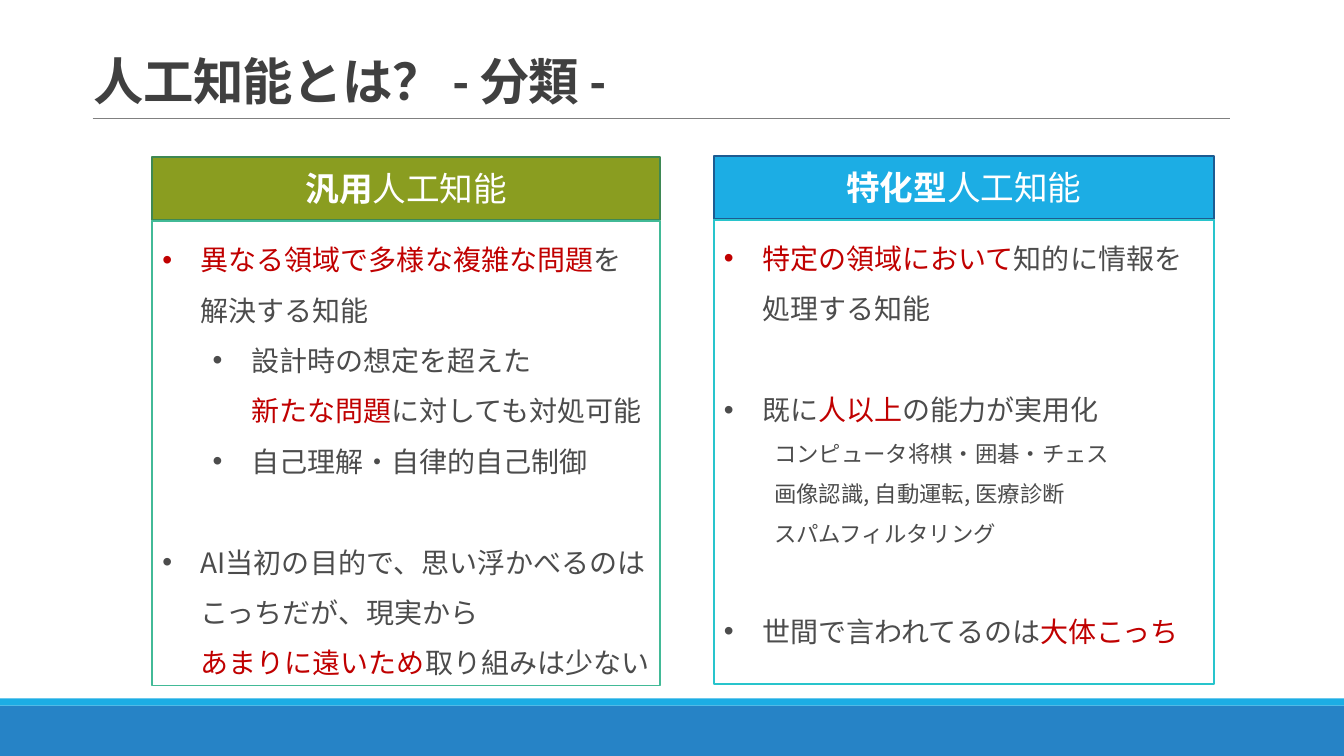
from copy import deepcopy
from dataclasses import dataclass

from lxml import etree
from pptx import Presentation
from pptx.dml.color import RGBColor
from pptx.enum.shapes import MSO_CONNECTOR, MSO_SHAPE
from pptx.enum.text import MSO_ANCHOR, MSO_AUTO_SIZE, PP_ALIGN
from pptx.oxml.ns import qn
from pptx.util import Inches, Pt

STRAIGHT = MSO_CONNECTOR.STRAIGHT
RECTANGLE = MSO_SHAPE.RECTANGLE
TOP, MIDDLE, BOTTOM = MSO_ANCHOR.TOP, MSO_ANCHOR.MIDDLE, MSO_ANCHOR.BOTTOM
NO_AUTOFIT = MSO_AUTO_SIZE.NONE
LEFT, CENTER = PP_ALIGN.LEFT, PP_ALIGN.CENTER
COMPARISON_LAYOUT = 4


@dataclass(frozen=True)
class Theme:
    latin_title: str = "Calibri"
    japanese: str = "Noto Sans CJK JP"
    title: str = "404040"
    text: str = "4C4C4C"
    accent: str = "C00000"
    white: str = "FFFFFF"
    rule: str = "808080"
    footer: str = "2683C6"
    sky: str = "1CADE4"
    olive: str = "8A9D20"
    title_size: int = 36
    heading_size: int = 24
    body_size: int = 20
    detail_size: int = 16
    blank_line: int = 36


# Left margin, first-line indent, bullet, for each kind of paragraph
LIST_STYLES = {
    "point": (0.38, -0.38, True),
    "subpoint": (0.88, -0.38, True),
    "detail": (0.5, 0, False),
}


class SlideBuilder:
    def __init__(self, presentation, theme):
        self.theme = theme
        layout = presentation.slide_layouts[COMPARISON_LAYOUT]
        self.slide = presentation.slides.add_slide(layout)

    def bar(self, top, height, color):
        shape = self.slide.shapes.add_shape(
            RECTANGLE, 0, Inches(top), Inches(13.33), Inches(height))
        shape.shadow.inherit = False
        shape.fill.solid()
        shape.fill.fore_color.rgb = RGBColor.from_string(color)
        shape.line.fill.background()

    def rule(self, left, right, top):
        line = self.slide.shapes.add_connector(
            STRAIGHT, Inches(left), Inches(top), Inches(right), Inches(top))
        line.line.color.rgb = RGBColor.from_string(self.theme.rule)
        line.line.width = Pt(0.5)
        etree.SubElement(line._element.spPr, qn("a:effectLst"))

    def placeholder(self, index, box, anchor, fill=None, outline=None):
        shape = self.slide.placeholders[index]
        shape.left, shape.top, shape.width, shape.height = map(Inches, box)
        frame_format = {"word_wrap": True, "auto_size": NO_AUTOFIT,
                        "vertical_anchor": anchor}
        for name, value in frame_format.items():
            setattr(shape.text_frame, name, value)
        if fill:
            shape.fill.solid()
            shape.fill.fore_color.rgb = RGBColor.from_string(fill)
        if outline:
            shape.line.color.rgb = RGBColor.from_string(outline)
            shape.line.width = Pt(1.25)
        return shape.text_frame

    def run(self, paragraph, text, size, color, bold=False, latin=None):
        for number, line in enumerate(text.split("\n")):
            if number:
                paragraph.add_line_break()
                line_break = paragraph._p.findall(qn("a:br"))[-1]
                line_break.append(deepcopy(properties))
            run = paragraph.add_run()
            run.text = line
            font_format = {"name": latin or self.theme.japanese,
                           "size": Pt(size), "bold": bold}
            for name, value in font_format.items():
                setattr(run.font, name, value)
            run.font.color.rgb = RGBColor.from_string(color)
            properties = run._r.get_or_add_rPr()
            east_asian = etree.SubElement(properties, qn("a:ea"))
            east_asian.set("typeface", self.theme.japanese)

    def title(self, text):
        frame = self.placeholder(0, (0.83, 0.35, 11.44, 0.8), BOTTOM)
        paragraph = frame.paragraphs[0]
        paragraph.alignment = LEFT
        paragraph.line_spacing = 0.85
        self.run(paragraph, text, self.theme.title_size, self.theme.title,
                 True, self.theme.latin_title)
        paragraph.runs[0]._r.get_or_add_rPr().set("spc", "-50")

    def heading(self, index, box, strong, plain, fill, outline):
        frame = self.placeholder(index, box, MIDDLE, fill, outline)
        paragraph = frame.paragraphs[0]
        paragraph.alignment = CENTER
        paragraph.space_before = Pt(0)
        for text, bold in ((strong, True), (plain, False)):
            self.run(paragraph, text, self.theme.heading_size,
                     self.theme.white, bold)

    def bullets(self, index, box, items, outline):
        frame = self.placeholder(index, box, TOP, outline=outline)
        for number, (style, gap, parts) in enumerate(items):
            paragraph = frame.add_paragraph() if number else frame.paragraphs[0]
            margin, indent, bulleted = LIST_STYLES[style]
            properties = paragraph._p.get_or_add_pPr()
            properties.set("marL", str(Inches(margin)))
            properties.set("indent", str(Inches(indent)))
            if bulleted:
                font = etree.SubElement(properties, qn("a:buFont"))
                font.set("typeface", "Arial")
                etree.SubElement(properties, qn("a:buChar")).set("char", "•")
            else:
                etree.SubElement(properties, qn("a:buNone"))
            paragraph_format = {
                "level": 0 if style == "point" else 1,
                "alignment": LEFT,
                "line_spacing": 1.5,
                "space_before": Pt(self.theme.blank_line if gap else 0),
                "space_after": Pt(0),
            }
            for name, value in paragraph_format.items():
                setattr(paragraph, name, value)
            size = (self.theme.detail_size if style == "detail"
                    else self.theme.body_size)
            for text, accented in parts:
                color = self.theme.accent if accented else self.theme.text
                self.run(paragraph, text, size, color)


# Each item: style, gap above, (text, accented) parts
GENERAL_ITEMS = [
    ("point", False, [("異なる領域で多様な複雑な問題", True),
                      ("を\n解決する知能", False)]),
    ("subpoint", False, [("設計時の想定を超えた\n", False),
                         ("新たな問題", True), ("に対しても対処可能", False)]),
    ("subpoint", False, [("自己理解・自律的自己制御", False)]),
    ("point", True, [("AI当初の目的で、思い浮かべるのはこっちだが、現実から\n", False),
                     ("あまりに遠いため", True), ("取り組みは少ない", False)]),
]
SPECIAL_ITEMS = [
    ("point", False, [("特定の領域において", True),
                      ("知的に情報を\n処理する知能", False)]),
    ("point", True, [("既に", False), ("人以上", True),
                     ("の能力が実用化", False)]),
    ("detail", False, [("コンピュータ将棋・囲碁・チェス\n"
                        "画像認識, 自動運転, 医療診断", False)]),
    ("detail", False, [("スパムフィルタリング", False)]),
    ("point", True, [("世間で言われてるのは", False), ("大体こっち", True)]),
]


def main():
    presentation = Presentation()
    presentation.slide_width = Inches(13.33)
    presentation.slide_height = Inches(7.5)
    theme = Theme()
    builder = SlideBuilder(presentation, theme)

    # Footer bands and title
    builder.bar(7, 0.5, theme.footer)
    builder.bar(6.93, 0.07, theme.sky)
    builder.rule(0.92, 12.2, 1.17)
    builder.title("人工知能とは？ - 分類 -")

    # Two columns, each with a heading above its list
    columns = [
        (1, 1.51, 1.56, 5.04, "汎用", theme.olive, "3E8853", GENERAL_ITEMS, "42BA97"),
        (3, 7.08, 1.55, 4.96, "特化型", theme.sky, "1D5B91", SPECIAL_ITEMS, "28C4CC"),
    ]
    for index, left, top, width, kind, fill, edge, items, outline in columns:
        builder.heading(index, (left, top, width, 0.62), kind, "人工知能",
                        fill, edge)
        builder.bullets(index + 1, (left, top + 0.63, width, 4.61), items, outline)

    presentation.save("out.pptx")


if __name__ == "__main__":
    main()
